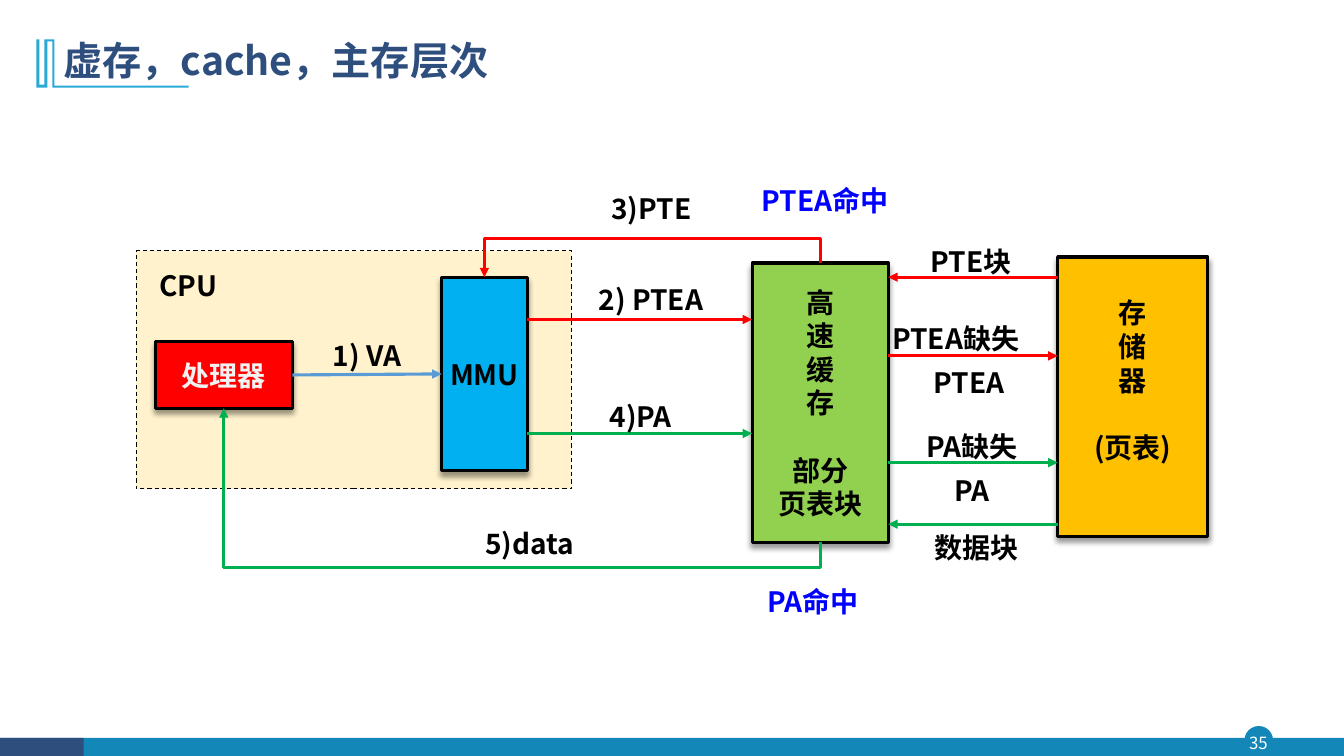
from lxml.etree import SubElement
from pptx import Presentation
from pptx.dml.color import RGBColor
from pptx.enum.dml import MSO_LINE
from pptx.enum.shapes import MSO_CONNECTOR, MSO_SHAPE
from pptx.enum.text import MSO_ANCHOR, PP_ALIGN
from pptx.oxml.ns import qn
from pptx.util import Inches, Pt

FONT = "Noto Sans CJK SC"
BLACK = RGBColor(0x00, 0x00, 0x00)
WHITE = RGBColor(0xFF, 0xFF, 0xFF)
OFF_WHITE = RGBColor(0xF2, 0xF2, 0xF2)
NAVY = RGBColor(0x2E, 0x4E, 0x7E)
TEAL = RGBColor(0x13, 0x87, 0xB7)
SKY = RGBColor(0x28, 0xA9, 0xD6)
CREAM = RGBColor(0xFF, 0xF2, 0xCC)
RED = RGBColor(0xFF, 0x00, 0x00)
GREEN = RGBColor(0x00, 0xB0, 0x50)
LIME = RGBColor(0x92, 0xD0, 0x50)
ORANGE = RGBColor(0xFF, 0xC0, 0x00)
CYAN = RGBColor(0x00, 0xB0, 0xF0)
STEEL = RGBColor(0x5B, 0x9B, 0xD5)
BLUE = RGBColor(0x00, 0x00, 0xFF)


def write(p, text, size=20, color=BLACK, bold=True, align=PP_ALIGN.CENTER,
          spacing=None, before=None):
    p.alignment = align
    if spacing:
        p.line_spacing = spacing
    if before:
        p.space_before = Pt(before)
    r = p.add_run()
    r.text = text
    r.font.size, r.font.bold, r.font.name = Pt(size), bold, FONT
    r.font.color.rgb = color
    SubElement(r._r.get_or_add_rPr(), qn("a:ea"), typeface=FONT)


def clear_frame(sp, anchor):
    tf = sp.text_frame
    tf.word_wrap = True
    tf.vertical_anchor = anchor
    tf.margin_left = tf.margin_right = tf.margin_top = tf.margin_bottom = 0
    return tf


def add_label(s, text, left, top, width, height, anchor=MSO_ANCHOR.TOP, **fmt):
    sp = s.shapes.add_textbox(Inches(left), Inches(top), Inches(width), Inches(height))
    tf = clear_frame(sp, anchor)
    for i, line in enumerate(text.split("\n")):
        write(tf.add_paragraph() if i else tf.paragraphs[0], line, **fmt)
    return tf


def paint(sp, fill, line=None, weight=1):
    sp.shadow.inherit = False
    sp.fill.solid()
    sp.fill.fore_color.rgb = fill
    if line is None:
        sp.line.fill.background()
    else:
        sp.line.color.rgb = line
        sp.line.width = Pt(weight)


def add_block(s, fill, left, top, width, height, shape=MSO_SHAPE.RECTANGLE, **outline):
    sp = s.shapes.add_shape(shape, Inches(left), Inches(top), Inches(width), Inches(height))
    paint(sp, fill, **outline)
    return sp


def add_unit(s, groups, fill, left, top, width, height, color=BLACK):
    """Outlined block with a soft shadow; groups of lines are set one line apart."""
    sp = add_block(s, fill, left, top, width, height, line=BLACK, weight=2.25)
    shadow = SubElement(sp._element.spPr.find(qn("a:effectLst")), qn("a:outerShdw"),
                        blurRad=str(Pt(4)), dist=str(Pt(3)), dir="5400000",
                        algn="t", rotWithShape="0")
    black = SubElement(shadow, qn("a:srgbClr"), val="000000")
    SubElement(black, qn("a:alpha"), val="40000")
    tf = clear_frame(sp, MSO_ANCHOR.MIDDLE)
    p = tf.paragraphs[0]
    for g, group in enumerate(groups):
        for i, line in enumerate(group):
            if g or i:
                p = tf.add_paragraph()
            write(p, line, color=color, before=24 if g and not i else None)
    return sp


def style_arrow(c, color):
    c.line.color.rgb = color
    c.line.width = Pt(2.25)
    spPr = c._element.spPr
    SubElement(spPr.find(qn("a:ln")), qn("a:tailEnd"), type="triangle")
    SubElement(spPr, qn("a:effectLst"))


def add_arrow(s, color, x1, x2, y):
    c = s.shapes.add_connector(MSO_CONNECTOR.STRAIGHT, Inches(x1), Inches(y),
                               Inches(x2), Inches(y))
    style_arrow(c, color)
    return c


def add_elbow(s, color, start, start_site, end, end_site, turn, flips, bend):
    """Three-part arrow that leaves and enters vertically, so its frame is turned."""
    c = s.shapes.add_connector(MSO_CONNECTOR.ELBOW, 0, 0, 0, 0)
    c.begin_connect(start, start_site)
    c.end_connect(end, end_site)
    x1, y1, x2, y2 = c.begin_x, c.begin_y, c.end_x, c.end_y
    w, h = abs(y2 - y1), abs(x2 - x1)
    c.left, c.top = (x1 + x2 - w) // 2, (y1 + y2 - h) // 2
    c.width, c.height = w, h
    xfrm = c._element.spPr.find(qn("a:xfrm"))
    xfrm.set("rot", str(turn * 60000))
    for side in "HV":
        xfrm.set("flip" + side, "1" if side in flips else "0")
    geometry = c._element.spPr.find(qn("a:prstGeom"))
    SubElement(geometry.find(qn("a:avLst")), qn("a:gd"), name="adj1",
               fmla=f"val {round(bend * 100000)}")
    style_arrow(c, color)


def add_title(s, text):
    title = s.shapes.title
    title.left, title.top = Inches(0.53), Inches(0.28)
    title.width, title.height = Inches(11.5), Inches(0.68)
    title.text_frame.vertical_anchor = MSO_ANCHOR.MIDDLE
    write(title.text_frame.paragraphs[0], text, size=28, color=NAVY,
          align=PP_ALIGN.LEFT, spacing=0.9)


def add_decor(s):
    # Footer bars and page number
    add_block(s, TEAL, 12.35, 7.21, 0.27, 0.27, MSO_SHAPE.OVAL, line=TEAL)
    add_block(s, TEAL, 0, 7.32, 13.33, 0.18)
    add_block(s, NAVY, 0, 7.32, 0.83, 0.18)
    add_label(s, "35", 12.32, 7.21, 0.32, 0.31, MSO_ANCHOR.MIDDLE,
              size=12, color=WHITE, bold=False)
    # Title ornament
    outline = [(0.54, 0.39), (0.54, 0.85), (1.87, 0.85), (1.87, 0.87), (0.52, 0.87),
               (0.52, 0.41), (0.47, 0.41), (0.47, 0.87), (0.36, 0.87), (0.36, 0.39),
               (0.39, 0.39), (0.39, 0.84), (0.44, 0.84), (0.44, 0.39)]
    points = [(Inches(x), Inches(y)) for x, y in outline]
    builder = s.shapes.build_freeform(*points[0])
    builder.add_line_segments(points[1:])
    paint(builder.convert_to_shape(), SKY)


def main():
    prs = Presentation()
    prs.slide_width, prs.slide_height = Inches(13.33), Inches(7.5)
    s = prs.slides.add_slide(prs.slide_layouts[5])
    add_decor(s)
    add_title(s, "虚存，cache，主存层次")

    # Units
    cpu = add_block(s, CREAM, 1.35, 2.49, 4.32, 2.36, line=BLACK, weight=0.75)
    cpu.line.dash_style = MSO_LINE.DASH
    memory = add_unit(s, ["存储器", ["(页表)"]], ORANGE, 10.49, 2.55, 1.49, 2.77)
    memory.text_frame.margin_bottom = Inches(0.33)
    cache = add_unit(s, ["高速缓存", ["部分", "页表块"]], LIME, 7.46, 2.61, 1.35, 2.77)
    processor = add_unit(s, [["处理器"]], RED, 1.54, 3.39, 1.36, 0.66, color=OFF_WHITE)
    mmu = add_unit(s, [["MMU"]], CYAN, 4.38, 2.75, 0.85, 1.92)

    # Arrows
    va = add_arrow(s, STEEL, 2.9, 4.38, 3.72)
    va.begin_connect(processor, 3)
    va.end_connect(mmu, 1)
    for color, x1, x2, y in [(RED, 5.23, 7.46, 3.17), (GREEN, 5.23, 7.46, 4.3),
                             (RED, 10.49, 8.81, 2.75), (RED, 8.81, 10.49, 3.53),
                             (GREEN, 8.81, 10.49, 4.59), (GREEN, 10.49, 8.81, 5.2)]:
        add_arrow(s, color, x1, x2, y)
    add_elbow(s, RED, cache, 0, mmu, 0, turn=270, flips="HV", bend=-1.75)
    add_elbow(s, GREEN, cache, 2, processor, 2, turn=90, flips="H", bend=-0.19)

    # Labels
    for text, left, top, width, height in [
            ("CPU", 1.14, 2.66, 1.45, 0.56), ("1) VA", 3.22, 3.36, 0.84, 0.51),
            ("2) PTEA", 5.89, 2.8, 1.13, 0.33), ("3)PTE", 5.98, 1.9, 0.96, 0.35),
            ("4)PA", 6.02, 3.96, 0.67, 0.41), ("5)data", 4.69, 5.22, 1.13, 0.48),
            ("PTE块", 9.15, 2.43, 0.96, 0.35), ("数据块", 9.21, 5.26, 0.96, 0.35)]:
        add_label(s, text, left, top, width, height)
    add_label(s, "PTEA命中", 7.44, 1.82, 1.49, 0.43, color=BLUE)
    add_label(s, "PA命中", 7.5, 5.8, 1.13, 0.33, color=BLUE)
    add_label(s, "PA缺失\nPA", 9.09, 4.16, 1.1, 0.36, spacing=1.3)
    miss = add_label(s, "PTEA缺失\nPTEA", 8.6, 3.09, 1.76, 0.4, spacing=1.3)
    miss.paragraphs[1]._p.get_or_add_pPr().set("marL", str(Inches(0.26)))

    prs.save("out.pptx")


if __name__ == "__main__":
    main()
